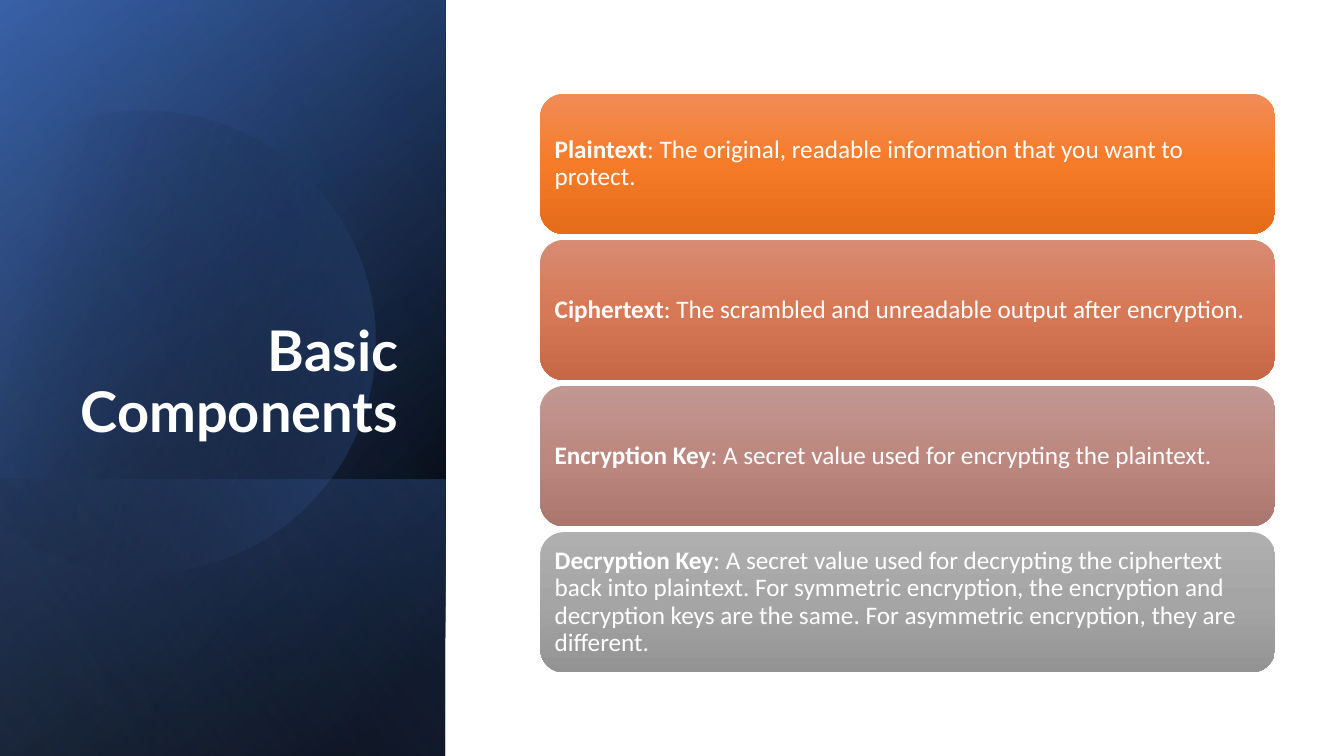
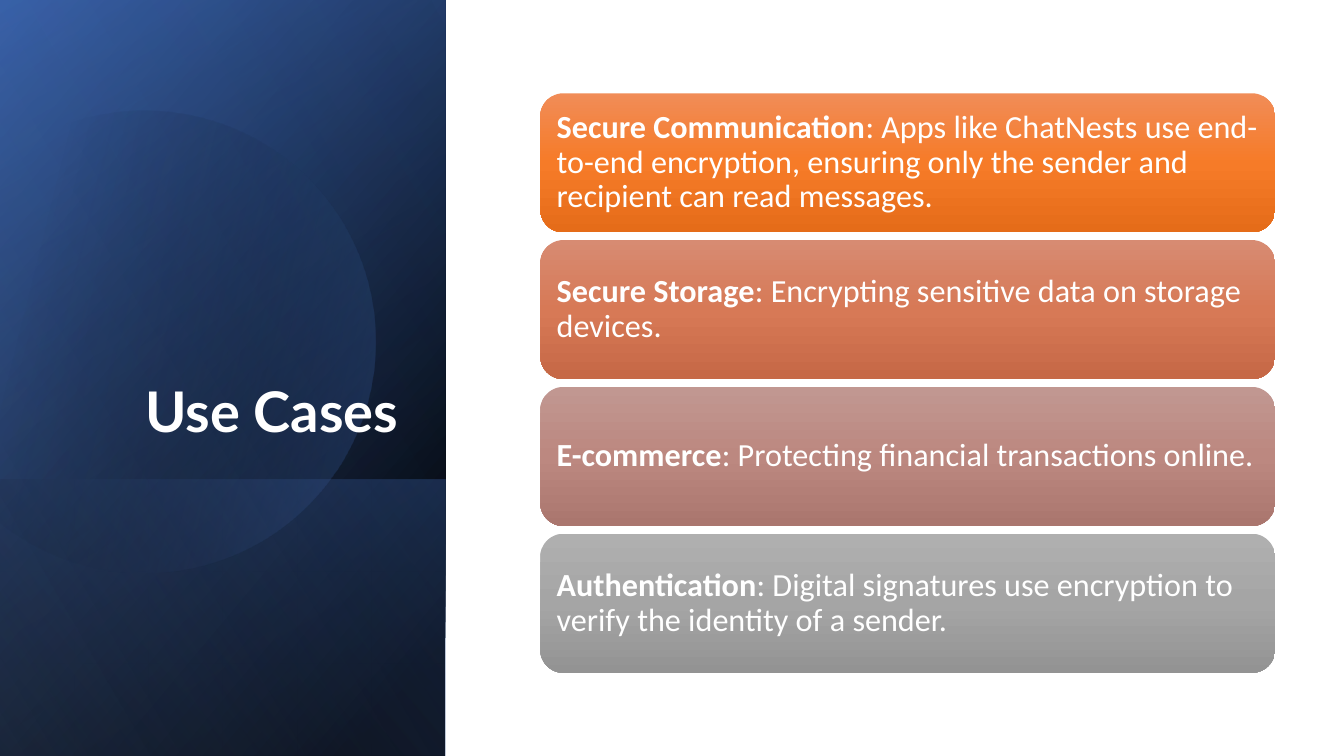
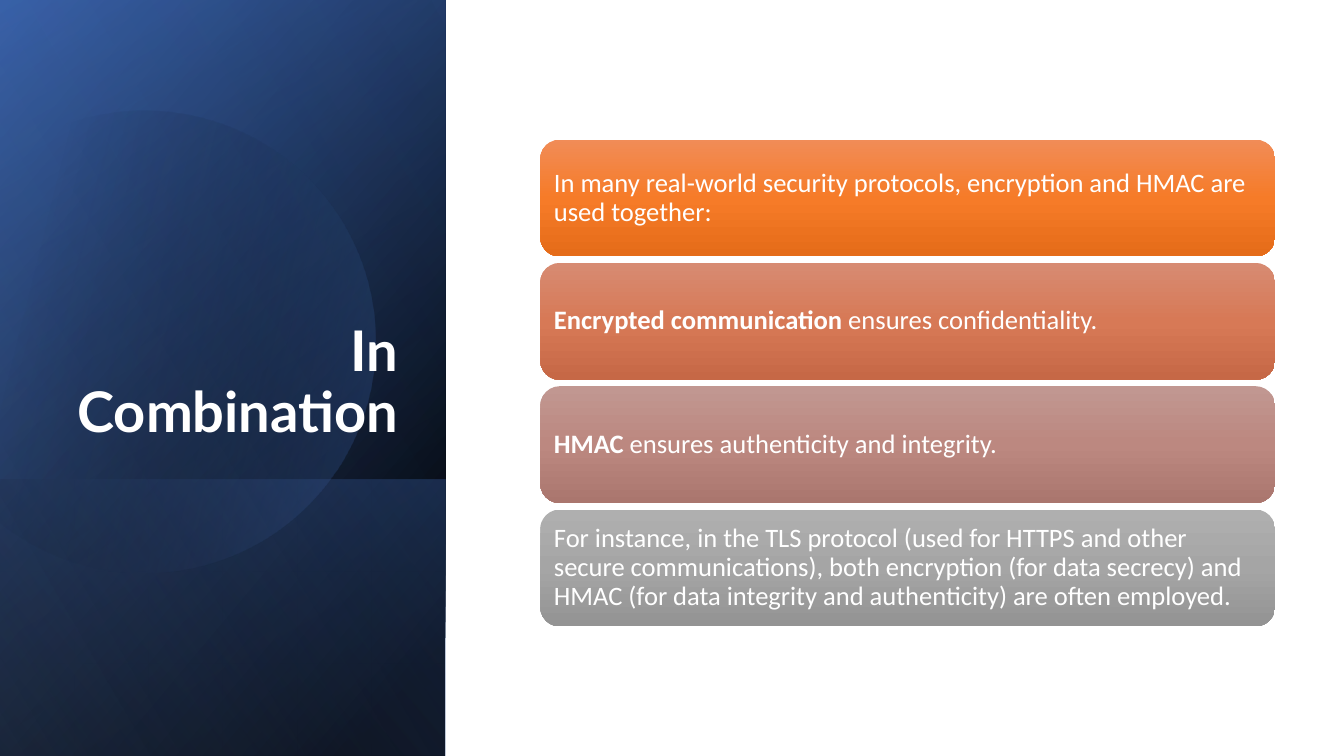
from dataclasses import dataclass
from math import cos, radians, sin

from lxml import etree
from pptx import Presentation
from pptx.dml.color import RGBColor
from pptx.enum.shapes import MSO_SHAPE
from pptx.enum.text import MSO_ANCHOR, MSO_AUTO_SIZE, PP_ALIGN
from pptx.oxml.ns import qn
from pptx.util import Inches, Pt

RECTANGLE = MSO_SHAPE.RECTANGLE
ROUNDED = MSO_SHAPE.ROUNDED_RECTANGLE
BOTTOM, MIDDLE = MSO_ANCHOR.BOTTOM, MSO_ANCHOR.MIDDLE
LEFT, RIGHT = PP_ALIGN.LEFT, PP_ALIGN.RIGHT
NO_AUTOFIT = MSO_AUTO_SIZE.NONE

COLUMNS, ROWS = 160, 90
CELL = Inches(7.5) / ROWS
TITLE_ONLY = 5


@dataclass(frozen=True)
class Gradient:
    angle: float
    stops: tuple


class Theme:
    title_font = "Lato"
    body_font = "Calibri"
    title_size = 40
    line_spacing = 0.9
    text_color = RGBColor.from_string("FFFFFF")
    panel_base = Gradient(50, ((8, "000000", 100), (100, "2F5597", 100)))
    panel_glow = Gradient(30, ((0, "000000", 0), (99, "4472C4", 46)))
    panel_foot = Gradient(130, ((2, "4472C4", 29), (100, "000000", 30)))
    panel_disc = Gradient(30, ((29, "000000", 0), (100, "4472C4", 43)))
    panel_veil = Gradient(120, ((0, "000000", 0), (99, "8FAADC", 11)))
    cards = tuple(
        Gradient(90, tuple((pos, color, 100) for pos, color in zip((0, 50, 100), colors)))
        for colors in (
            ("F18C57", "F67B28", "E56C19"),
            ("D78B72", "D77956", "C66846"),
            ("C19791", "BC8880", "AA766E"),
            ("AFAFAF", "A5A5A5", "939393"),
        )
    )


def cells(*counts):
    return [round(count * CELL) for count in counts]


def apply(target, formats):
    for name, value in formats.items():
        setattr(target, name, value)


class Deck:
    panel_box = (0, 0, 53.04, ROWS)
    foot_box = (0, 57.1, 53.04, 32.9)
    title_box = (7.68, 22.08, 40.92, 31.44)
    disc_center = (17.09, 40.14)
    disc_radius = 27.48
    disc_tilt = 16.1
    disc_reach = 133.6
    cards_left, cards_width, cards_middle = 64.32, 87.48, 45.6

    def __init__(self, theme):
        self.theme = theme
        self.show = Presentation()
        apply(self.show, dict(zip(("slide_width", "slide_height"), cells(COLUMNS, ROWS))))
        self.slide = None

    def new_slide(self, title):
        self.slide = self.show.slides.add_slide(self.show.slide_layouts[TITLE_ONLY])
        self.panel()
        self.title(title)

    def paint(self, shape, gradient):
        shape.shadow.inherit = False
        shape.line.fill.background()
        shape.fill.background()
        properties = shape._element.spPr
        fill = etree.Element(qn("a:gradFill"), rotWithShape="1")
        stop_list = etree.SubElement(fill, qn("a:gsLst"))
        for position, color, opacity in gradient.stops:
            stop = etree.SubElement(stop_list, qn("a:gs"), pos=str(position * 1000))
            tint = etree.SubElement(stop, qn("a:srgbClr"), val=color)
            if opacity < 100:
                etree.SubElement(tint, qn("a:alpha"), val=str(opacity * 1000))
        etree.SubElement(fill, qn("a:lin"), ang=str(gradient.angle * 60000), scaled="0")
        properties.replace(properties.find(qn("a:noFill")), fill)

    def turned_layer(self, box, gradient):
        left, top, width, height = box
        frame = (left + (width - height) / 2, top + (height - width) / 2, height, width)
        layer = self.slide.shapes.add_shape(RECTANGLE, *cells(*frame))
        layer.rotation = 90
        layer._element.spPr.find(qn("a:xfrm")).set("flipH", "1")
        self.paint(layer, gradient)

    def disc(self):
        steps = 120
        angles = [
            radians(self.disc_tilt + self.disc_reach * (2 * step / steps - 1))
            for step in range(steps + 1)
        ]
        x, y = self.disc_center
        rim = [
            cells(x + self.disc_radius * cos(angle), y + self.disc_radius * sin(angle))
            for angle in angles
        ]
        outline = self.slide.shapes.build_freeform(*rim[0])
        outline.add_line_segments(rim[1:], close=True)
        disc = outline.convert_to_shape()
        disc.rotation = -self.disc_tilt
        self.paint(disc, self.theme.panel_disc)

    def panel(self):
        self.turned_layer(self.panel_box, self.theme.panel_base)
        self.turned_layer(self.panel_box, self.theme.panel_glow)
        self.turned_layer(self.foot_box, self.theme.panel_foot)
        self.disc()
        self.turned_layer(self.panel_box, self.theme.panel_veil)

    def set_text(self, frame, runs, font, size, align, **frame_formats):
        apply(frame, {"word_wrap": True, "auto_size": NO_AUTOFIT, **frame_formats})
        paragraph = frame.paragraphs[0]
        apply(paragraph, {"alignment": align, "line_spacing": self.theme.line_spacing})
        for text, bold in runs:
            run = paragraph.add_run()
            run.text = text
            apply(run.font, {"name": font, "size": Pt(size), "bold": bold})
            run.font.color.rgb = self.theme.text_color

    def title(self, text):
        heading = self.slide.shapes.title
        apply(heading, dict(zip(("left", "top", "width", "height"), cells(*self.title_box))))
        self.set_text(heading.text_frame, [(text, True)], self.theme.title_font,
                      self.theme.title_size, RIGHT, vertical_anchor=BOTTOM)
        self.slide.shapes._spTree.append(heading._element)

    def card(self, box, gradient, term, detail, size):
        card = self.slide.shapes.add_shape(ROUNDED, *cells(*box))
        self.paint(card, gradient)
        sides = ("margin_left", "margin_top", "margin_right", "margin_bottom")
        runs = [(text, bold) for text, bold in ((term, True), (detail, False)) if text]
        self.set_text(card.text_frame, runs, self.theme.body_font, size, LEFT,
                      vertical_anchor=MIDDLE, **dict.fromkeys(sides, Inches(size / 240)))

    def card_stack(self, entries, size, height):
        gap = size * 0.04
        pitch = height + gap
        top = self.cards_middle - (len(entries) * pitch - gap) / 2
        for row, (term, detail) in enumerate(entries):
            box = (self.cards_left, top + row * pitch, self.cards_width, height)
            self.card(box, self.theme.cards[row], term, detail, size)


TOPICS = (
    ("Basic Components", 18, 16.68, (
        ("Plaintext", ": The original, readable information that you want to protect."),
        ("Ciphertext", ": The scrambled and unreadable output after encryption."),
        ("Encryption Key", ": A secret value used for encrypting the plaintext."),
        ("Decryption Key", ": A secret value used for decrypting the ciphertext back into "
         "plaintext. For symmetric encryption, the encryption and decryption keys are the "
         "same. For asymmetric encryption, they are different."),
    )),
    ("Use Cases", 23, 16.56, (
        ("Secure Communication", ": Apps like ChatNests use end-to-end encryption, ensuring "
         "only the sender and recipient can read messages."),
        ("Secure Storage", ": Encrypting sensitive data on storage devices."),
        ("E-commerce", ": Protecting financial transactions online."),
        ("Authentication", ": Digital signatures use encryption to verify the identity of "
         "a sender."),
    )),
    ("In Combination", 19, 13.92, (
        ("", "In many real-world security protocols, encryption and HMAC are used together:"),
        ("Encrypted communication", " ensures confidentiality."),
        ("HMAC", " ensures authenticity and integrity."),
        ("", "For instance, in the TLS protocol (used for HTTPS and other secure "
         "communications), both encryption (for data secrecy) and HMAC (for data integrity "
         "and authenticity) are often employed."),
    )),
)


def main():
    deck = Deck(Theme())
    for title, size, height, entries in TOPICS:
        deck.new_slide(title)
        deck.card_stack(entries, size, height)
    deck.show.save("out.pptx")


if __name__ == "__main__":
    main()
